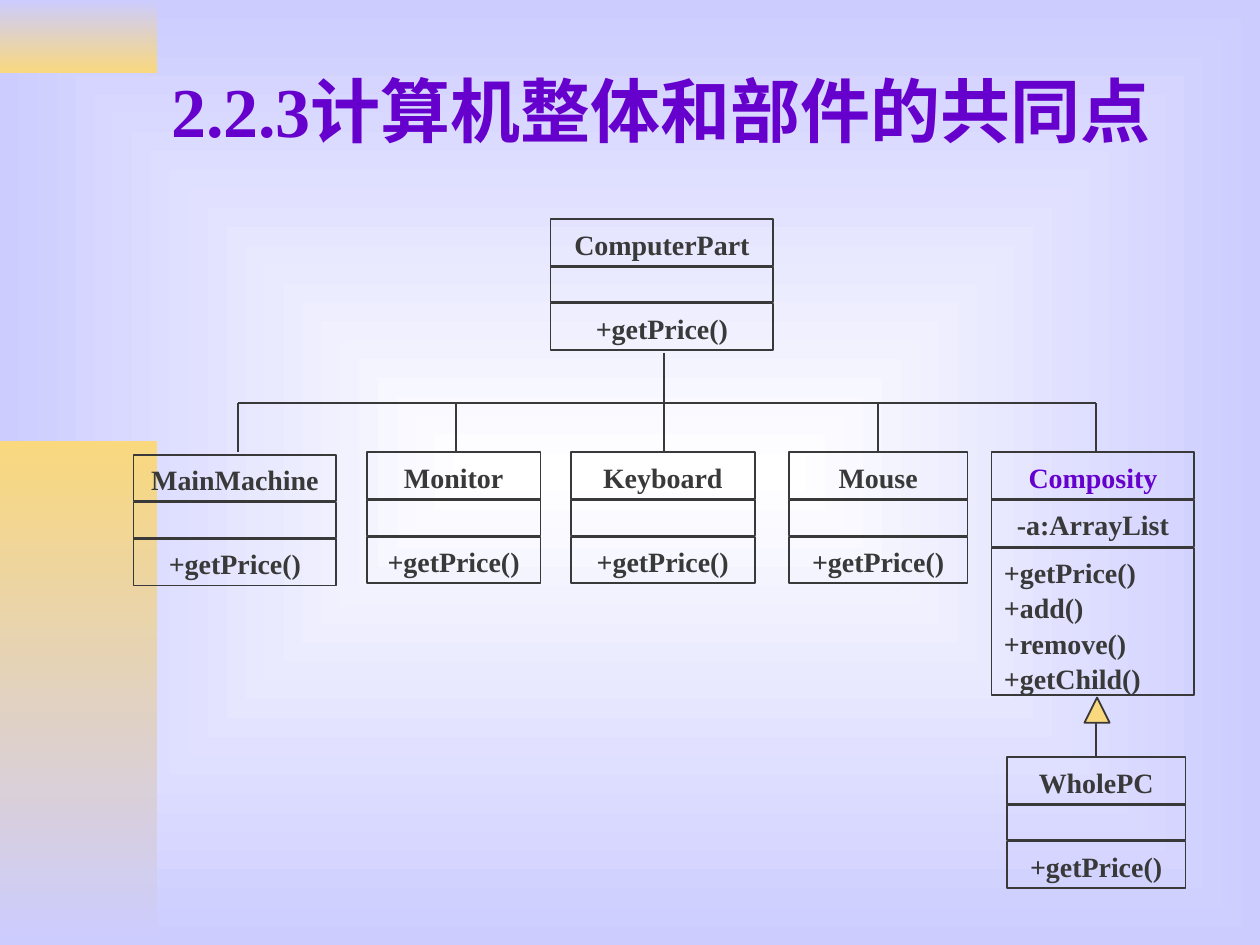
from lxml.etree import SubElement
from pptx import Presentation
from pptx.dml.color import RGBColor
from pptx.enum.shapes import MSO_CONNECTOR, MSO_SHAPE
from pptx.enum.text import MSO_ANCHOR, PP_ALIGN
from pptx.oxml.ns import qn
from pptx.util import Pt

WHITE = RGBColor(0xFF, 0xFF, 0xFF)
LAVENDER = RGBColor(0xCC, 0xCC, 0xFF)
GOLD = RGBColor(0xF9, 0xD8, 0x7E)
PURPLE = RGBColor(0x66, 0x00, 0xCC)
DARK = RGBColor(0x39, 0x39, 0x39)
FONT = "Times New Roman"

# Content: name, left, top, width, attributes, methods
TITLE = "2.2.3计算机整体和部件的共同点"
PRICE = ["+getPrice()"]
CHILD_TOP = 258.5
CLASSES = [
    ("ComputerPart", 314.6, 125.3, 127.4, [], PRICE),
    ("MainMachine", 76.3, 259.9, 115.9, [], PRICE),
    ("Monitor", 209.5, CHILD_TOP, 99.4, [], PRICE),
    ("Keyboard", 326.2, CHILD_TOP, 105.1, [], PRICE),
    ("Mouse", 450.7, CHILD_TOP, 102.2, [], PRICE),
    ("Composity", 566.6, CHILD_TOP, 115.9, ["-a:ArrayList"],
     PRICE + ["+add()", "+remove()", "+getChild()"]),
    ("WholePC", 575.3, 432.7, 102.2, [], PRICE),
]
HIGHLIGHTED = "Composity"
BRANCHES = [136.1, 260.6, 379.5, 501.8, 626.4]
TRUNK, TRUNK_TOP, BUS = BRANCHES[2], 201.6, 230.4

# Compartment metrics
EMPTY_HEIGHT, LINE_HEIGHT, PADDING, GAP = 20.2, 19.2, 7.4, 0.7

presentation = Presentation()
presentation.slide_width, presentation.slide_height = Pt(720), Pt(540)
slide = presentation.slides.add_slide(presentation.slide_layouts[6])


def set_gradient(fill, first, last):
    fill.gradient()
    for stop, color in zip(fill.gradient_stops, (first, last)):
        stop.color.rgb = color


def add_text(shape, lines, size=16, color=DARK, align=PP_ALIGN.CENTER,
             anchor=MSO_ANCHOR.TOP, spacing=1.05):
    frame = shape.text_frame
    frame.word_wrap = True
    frame.vertical_anchor = anchor
    frame.text = "\n".join(lines)
    for paragraph in frame.paragraphs:
        paragraph.alignment = align
        paragraph.line_spacing = spacing
        font = paragraph.font
        font.name, font.size, font.bold = FONT, Pt(size), True
        font.color.rgb = color


def add_box(left, top, width, height, kind=MSO_SHAPE.RECTANGLE):
    shape = slide.shapes.add_shape(kind, Pt(left), Pt(top), Pt(width), Pt(height))
    shape.shadow.inherit = False
    shape.fill.background()
    shape.line.color.rgb = DARK
    shape.line.width = Pt(1)
    return shape


def add_line(x1, y1, x2, y2):
    line = slide.shapes.add_connector(
        MSO_CONNECTOR.STRAIGHT, Pt(x1), Pt(y1), Pt(x2), Pt(y2))
    line.line.color.rgb = DARK
    line.line.width = Pt(1)
    SubElement(line.element.spPr, qn("a:effectLst"))


def add_class(name, left, top, width, attributes, methods):
    for index, lines in enumerate(([name], attributes, methods)):
        height = PADDING + LINE_HEIGHT * len(lines) if lines else EMPTY_HEIGHT
        box = add_box(left, top, width, height)
        if lines:
            add_text(box, lines,
                     color=PURPLE if lines == [HIGHLIGHTED] else DARK,
                     align=PP_ALIGN.LEFT if len(lines) > 1 else PP_ALIGN.CENTER)
        top += height + GAP


# Background: white centre fading outwards to lavender
set_gradient(slide.background.fill, WHITE, LAVENDER)
gradient = slide.element.find(".//" + qn("a:gradFill"))
linear = gradient.find(qn("a:lin"))
radial = SubElement(gradient, qn("a:path"), {"path": "rect"})
SubElement(radial, qn("a:fillToRect"), {side: "50000" for side in "ltrb"})
gradient.replace(linear, radial)

# Side bands
for top, height, colors in ((0, 41.8, (LAVENDER, GOLD)), (252, 288, (GOLD, LAVENDER))):
    band = add_box(0, top, 90, height)
    set_gradient(band.fill, *colors)
    band.fill.gradient_angle = 270
    band.line.fill.background()

# Title
title = slide.shapes.add_textbox(Pt(90.7), Pt(15.1), Pt(612), Pt(95))
add_text(title, [TITLE], size=40, color=PURPLE, align=PP_ALIGN.LEFT,
         anchor=MSO_ANCHOR.MIDDLE, spacing=1)

# Hierarchy lines
for x in BRANCHES:
    add_line(x, BUS, x, CHILD_TOP)
add_line(TRUNK, TRUNK_TOP, TRUNK, BUS)
add_line(BRANCHES[0], BUS, BRANCHES[-1], BUS)

# Classes
for entry in CLASSES:
    add_class(*entry)

# Inheritance arrow from WholePC to Composity
arrow = add_box(619.7, 398.6, 14.4, 14.4, MSO_SHAPE.ISOSCELES_TRIANGLE)
arrow.fill.solid()
arrow.fill.fore_color.rgb = GOLD
add_line(BRANCHES[-1], 412.8, BRANCHES[-1], 432.7)

presentation.save("out.pptx")
